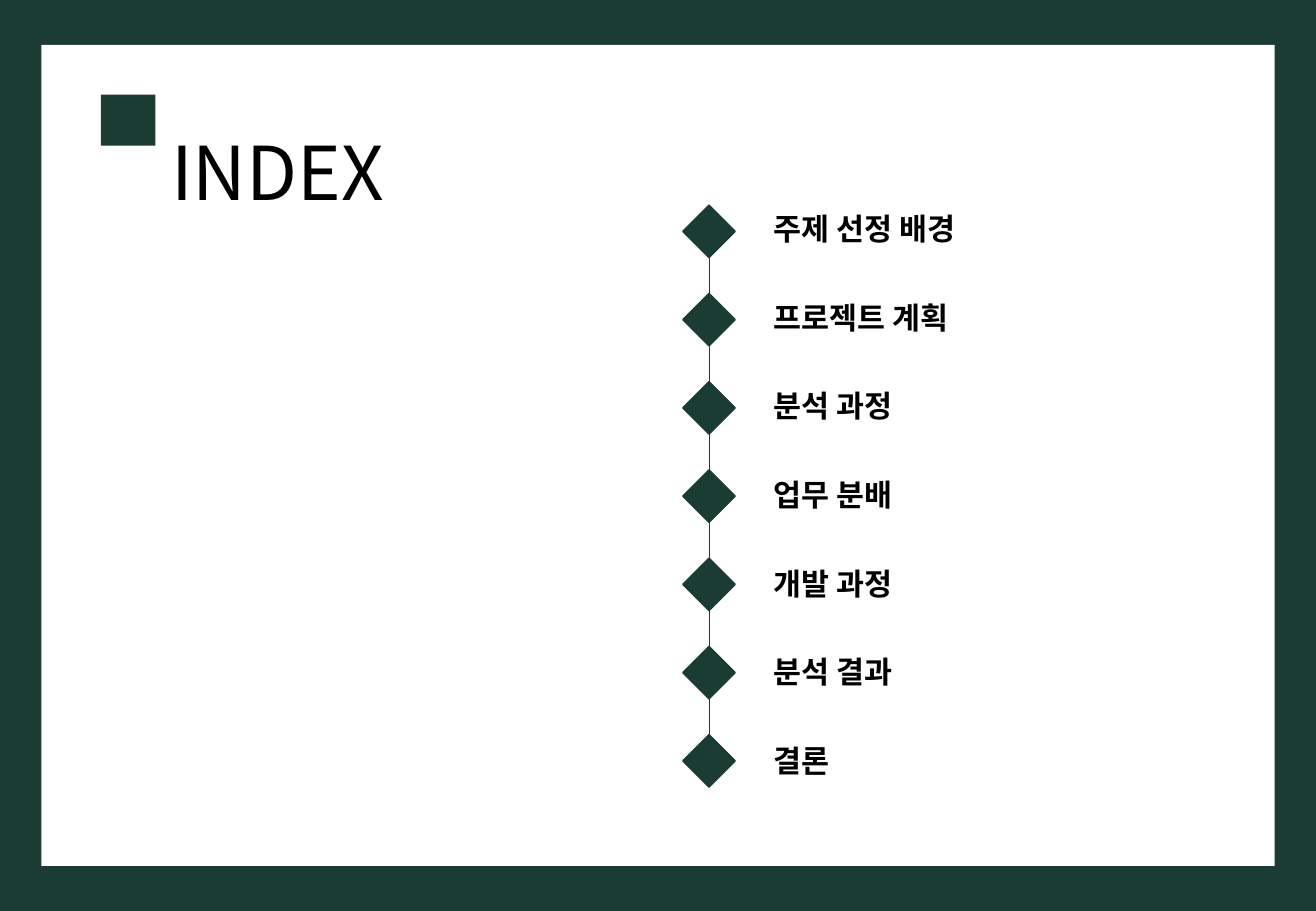
from dataclasses import dataclass
from lxml.etree import SubElement
from pptx import Presentation
from pptx.dml.color import RGBColor
from pptx.enum.shapes import MSO_CONNECTOR, MSO_SHAPE
from pptx.enum.text import MSO_ANCHOR, MSO_AUTO_SIZE, PP_ALIGN
from pptx.oxml.ns import qn
from pptx.util import Inches, Pt


@dataclass(frozen=True)
class Theme:
    green: RGBColor = RGBColor(0x1A, 0x3C, 0x33)
    white: RGBColor = RGBColor(0xFF, 0xFF, 0xFF)
    black: RGBColor = RGBColor(0, 0, 0)
    font: str = "Noto Sans CJK KR"
    title: int = 44
    label: int = 18
    edge: float = 1
    link: float = 0.5


THEME = Theme()
WIDE, HIGH = 10.83, 7.5
TOPICS = ["주제 선정 배경", "프로젝트 계획", "분석 과정", "업무 분배",
          "개발 과정", "분석 결과", "결론"]


def add_block(slide, kind, box, fill, edge=0):
    block = slide.shapes.add_shape(kind, *map(Inches, box))
    block.shadow.inherit = False
    block.fill.solid()
    block.fill.fore_color.rgb = fill
    if edge:
        block.line.color.rgb = fill
        block.line.width = Pt(edge)
    else:
        block.line.fill.background()


def add_link(slide, x, top, end):
    link = slide.shapes.add_connector(
        MSO_CONNECTOR.STRAIGHT, Inches(x), Inches(top), Inches(x), Inches(end))
    link.line.color.rgb = THEME.green
    link.line.width = Pt(THEME.link)
    SubElement(link._element.spPr, qn("a:effectLst"))


def write(shape, text, size, bold=False, align=PP_ALIGN.LEFT):
    frame = shape.text_frame
    frame.word_wrap = False
    frame.auto_size = MSO_AUTO_SIZE.SHAPE_TO_FIT_TEXT
    frame.vertical_anchor = MSO_ANCHOR.TOP
    line = frame.paragraphs[0]
    line.alignment = align
    run = line.add_run()
    run.text = text
    font = run.font
    font.name, font.size, font.bold = THEME.font, Pt(size), bold
    font.color.rgb = THEME.black
    SubElement(run._r.get_or_add_rPr(), qn("a:ea"), typeface=THEME.font)


def add_frame(slide, box):
    left, top, width, height = box
    side, rise = 0.34, 0.37
    add_block(slide, MSO_SHAPE.RECTANGLE, box, THEME.green)
    inner = (left + side, top + rise, width - 2 * side, height - 2 * rise)
    add_block(slide, MSO_SHAPE.RECTANGLE, inner, THEME.white)


def add_head(slide, box):
    left, top, width, height = box
    mark, tall, drop = 0.45, 0.42, 0.21
    title = slide.shapes.title
    title.left, title.top = Inches(left + mark), Inches(top + drop)
    title.width, title.height = Inches(width - mark), Inches(height - drop)
    write(title, "INDEX", THEME.title, align=PP_ALIGN.CENTER)
    slide.shapes._spTree.append(title._element)
    add_block(slide, MSO_SHAPE.RECTANGLE, (left, top, mark, tall), THEME.green)


def add_index(slide, box):
    left, top, width, height = box
    size, inset, tall = 0.43, 0.65, 0.4
    steps = len(TOPICS) - 1
    pitch = (height - size) / steps
    for i, topic in enumerate(TOPICS):
        y = top + i * pitch
        add_block(slide, MSO_SHAPE.DIAMOND, (left, y, size, size),
                  THEME.green, THEME.edge)
        if i < steps:
            add_link(slide, left + size / 2, y + size, y + pitch)
        label = slide.shapes.add_textbox(
            Inches(left + inset), Inches(top - 0.01 + i * 0.73),
            Inches(width - inset), Inches(tall))
        write(label, topic, THEME.label, bold=True)


def main():
    deck = Presentation()
    deck.slide_width, deck.slide_height = Inches(WIDE), Inches(HIGH)
    slide = deck.slides.add_slide(deck.slide_layouts[5])
    add_frame(slide, (0, 0, WIDE, HIGH))
    add_head(slide, (0.83, 0.78, 2.46, 1.05))
    add_index(slide, (5.62, 1.69, 2.48, 4.79))
    deck.save("out.pptx")


if __name__ == "__main__":
    main()
